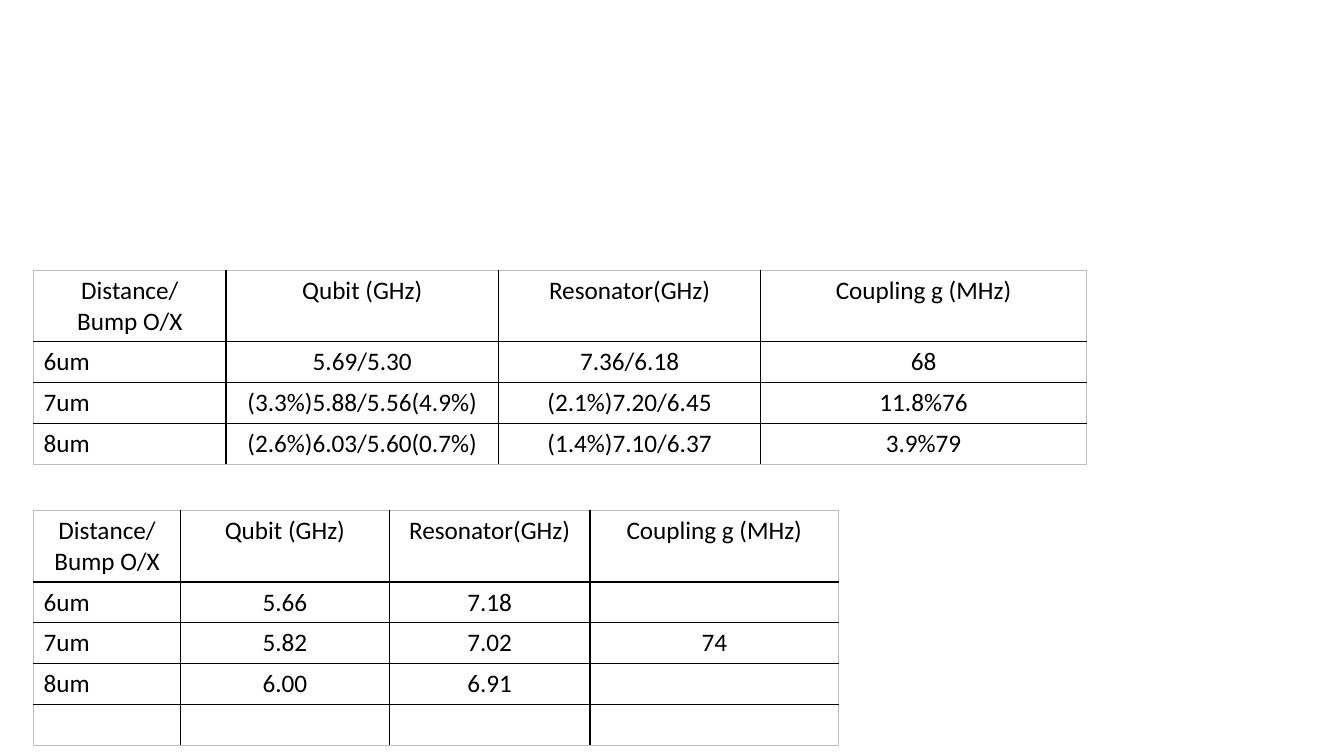
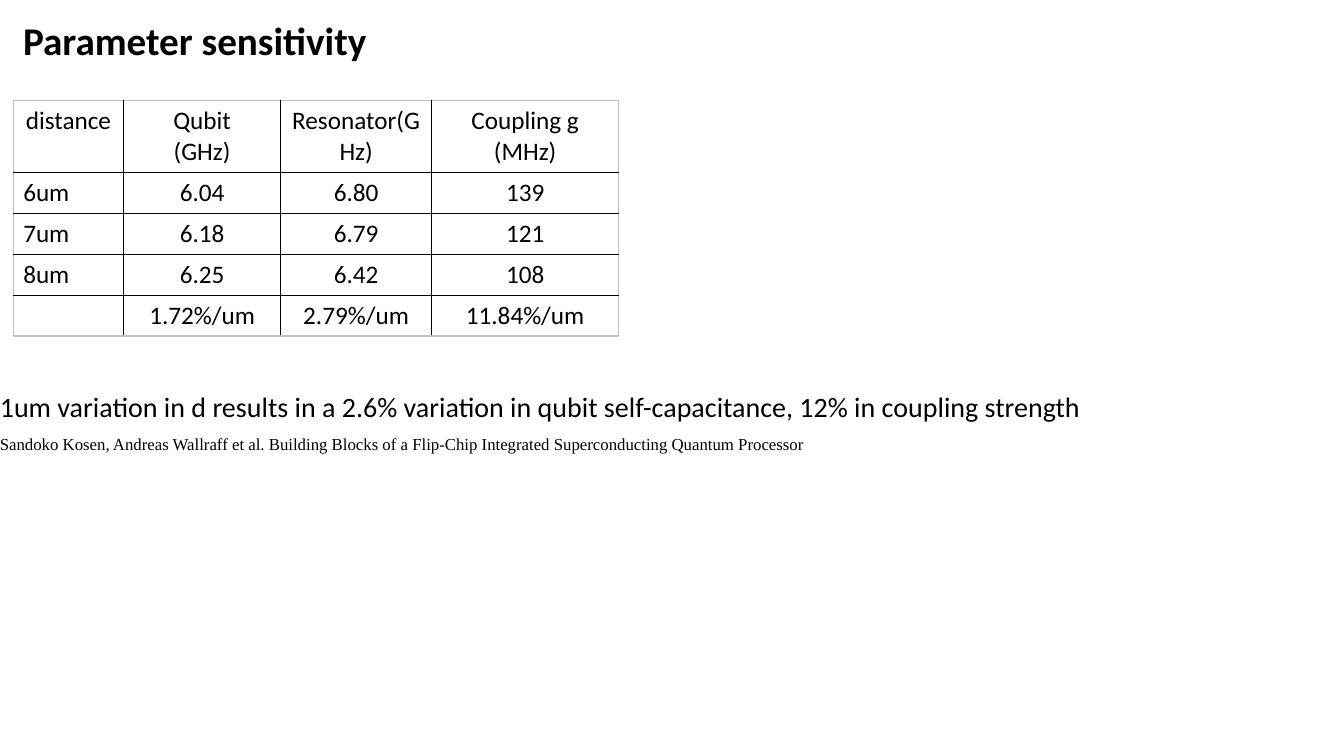
from pptx import Presentation
from pptx.dml.color import RGBColor
from pptx.enum.text import MSO_ANCHOR as Anchor, PP_ALIGN as Align
from pptx.oxml.ns import qn
from pptx.util import Pt
from lxml.etree import SubElement as Sub

INK, EDGE = "000000", "BFBFBF"
SANS, SERIF = "Calibri", "Times New Roman"


def color(code):
    return RGBColor.from_string(code)


class Deck:
    """Holds the style and the current slide."""
    size = 18       # table text
    line = 1        # table rules
    head = 51.2     # header row height
    row = 29.2      # body row height

    def __init__(self):
        self.prs = Presentation()
        self.prs.slide_width, self.prs.slide_height = Pt(960), Pt(540)

    def page(self):
        layout = self.prs.slide_layouts[6]
        self.shapes = self.prs.slides.add_slide(layout).shapes

    def style(self, para, size, font=SANS, bold=False):
        para.font.size, para.font.name = Pt(size), font
        para.font.bold = bold
        para.font.color.rgb = color(INK)

    def text(self, words, x, y, w, h, size, font=SANS, bold=False):
        frame = self.shapes.add_textbox(Pt(x), Pt(y), Pt(w), Pt(h)).text_frame
        frame.word_wrap = True
        frame.text = words
        self.style(frame.paragraphs[0], size, font, bold)

    def title(self, words):
        self.text(words, 9.4, 8, 373, 41, 28, bold=True)

    def border(self, cell, sides):
        props = cell._tc.get_or_add_tcPr()
        for side, code in sides.items():
            rule = Sub(props, qn("a:ln" + side), w=str(Pt(self.line)))
            Sub(Sub(rule, qn("a:solidFill")), qn("a:srgbClr"), val=code)

    def table(self, x, y, widths, rows):
        high = [self.head] + [self.row] * (len(rows) - 1)
        grid = self.shapes.add_table(len(rows), len(widths), Pt(x), Pt(y),
                                     Pt(sum(widths)), Pt(sum(high))).table
        grid.first_row = grid.horz_banding = False
        for col, width in zip(grid.columns, widths):
            col.width = Pt(width)
        for row, height in zip(grid.rows, high):
            row.height = Pt(height)

        # Cells: black rules inside, pale ones around the table
        for r, row in enumerate(rows):
            for c, words in enumerate(row):
                cell = grid.cell(r, c)
                ends = {"L": c == 0, "R": c == len(row) - 1,
                        "T": r == 0, "B": r == len(rows) - 1}
                self.border(cell, {side: EDGE if end else INK
                                   for side, end in ends.items()})
                cell.fill.background()
                cell.vertical_anchor = Anchor.TOP
                cell.text = words
                for para in cell.text_frame.paragraphs:
                    para.alignment = Align.LEFT if r and not c else Align.CENTER
                    self.style(para, self.size)


def main():
    deck = Deck()

    # Slide 1: values by distance
    names = ["Distance/\nBump O/X", "Qubit (GHz)", "Resonator(GHz)",
             "Coupling g (MHz)"]
    deck.page()
    deck.table(24, 193, [137.5, 194.5, 187.5, 232.5], [
        names,
        ["6um", "5.69/5.30", "7.36/6.18", "68"],
        ["7um", "(3.3%)5.88/5.56(4.9%)", "(2.1%)7.20/6.45", "11.8%76"],
        ["8um", "(2.6%)6.03/5.60(0.7%)", "(1.4%)7.10/6.37", "3.9%79"],
    ])
    deck.table(24, 364.5, [105, 149, 143.5, 177.5], [
        names,
        ["6um", "5.66", "7.18", ""],
        ["7um", "5.82", "7.02", "74"],
        ["8um", "6.00", "6.91", ""],
        [""] * 4,
    ])

    # Slide 2: sensitivity
    deck.page()
    deck.table(9.4, 72, [79, 112, 108, 133.5], [
        ["distance", "Qubit\n(GHz)", "Resonator(GHz)", "Coupling g (MHz)"],
        ["6um", "6.04", "6.80", "139"],
        ["7um", "6.18", "6.79", "121"],
        ["8um", "6.25", "6.42", "108"],
        ["", "1.72%/um", "2.79%/um", "11.84%/um"],
    ])
    deck.title("Parameter sensitivity")
    deck.text("1um variation in d results in a 2.6% variation in qubit "
              "self-capacitance, 12% in coupling strength",
              -7.2, 275, 857, 31.5, 20)
    deck.text("Sandoko Kosen, Andreas Wallraff et al. Building Blocks of a "
              "Flip-Chip Integrated Superconducting Quantum Processor",
              -7.2, 306, 857, 21, 12, SERIF)

    deck.prs.save("out.pptx")


if __name__ == "__main__":
    main()
